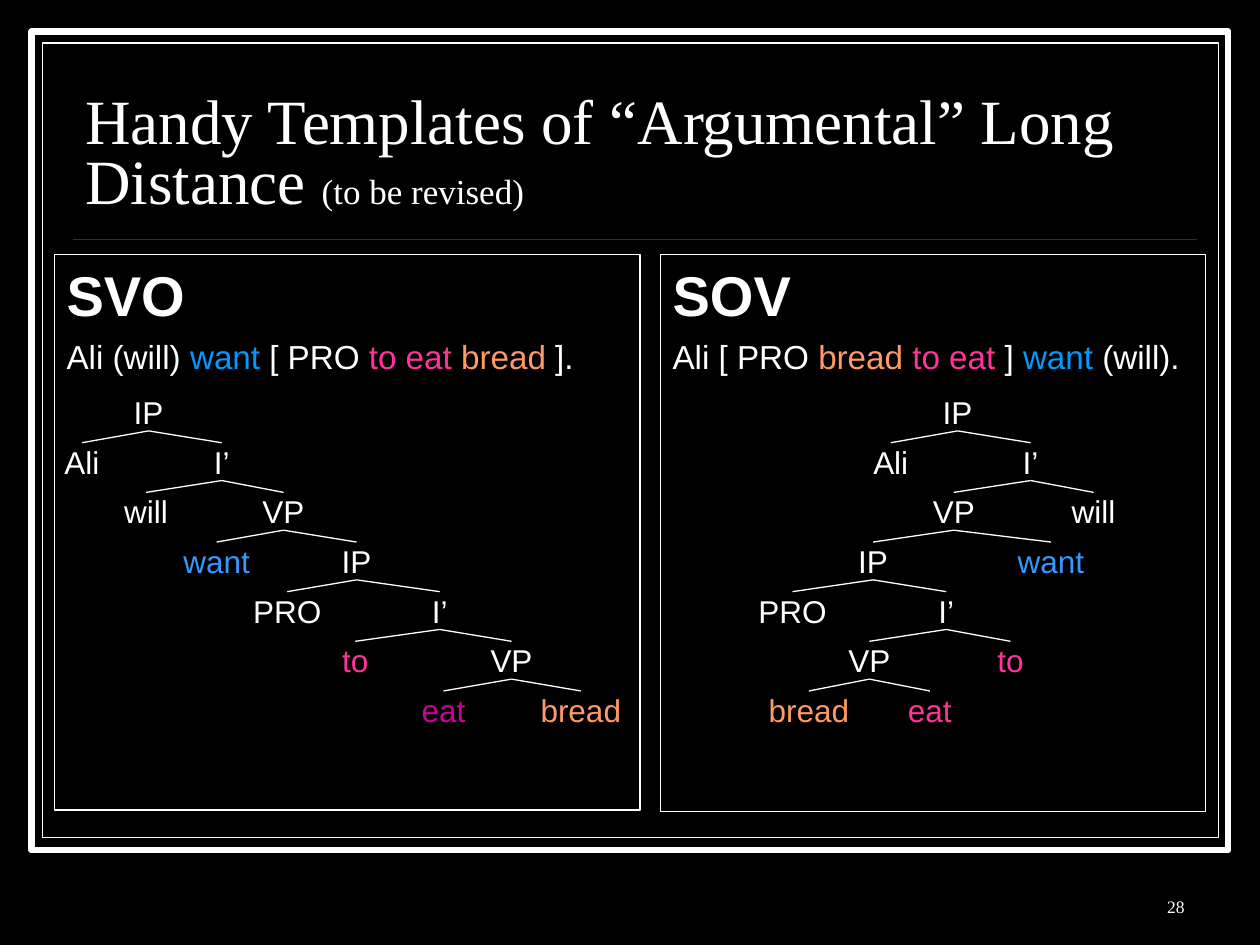
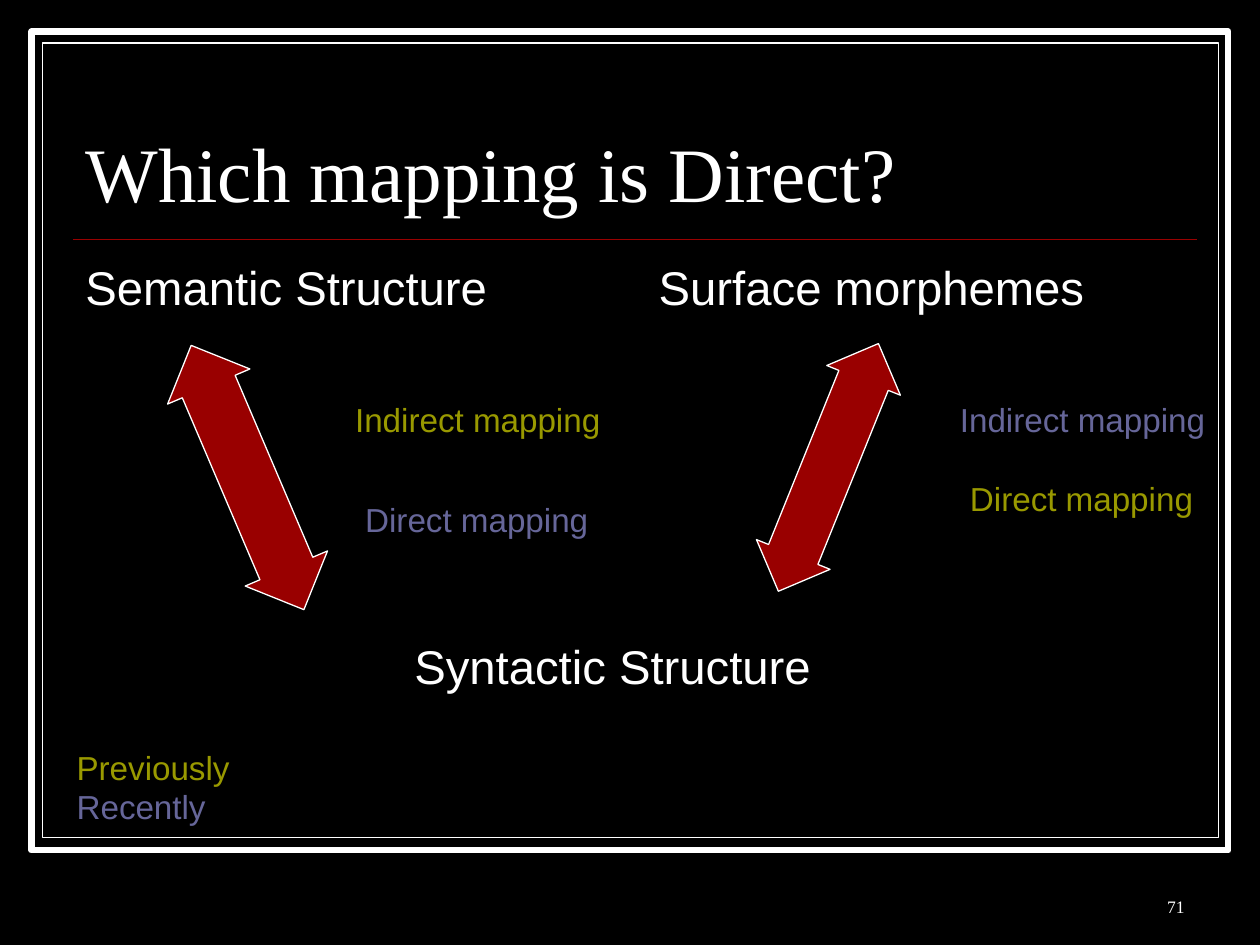
from pptx import Presentation
from pptx import util as u
from pptx.dml.color import RGBColor
from pptx.enum import shapes, text
from pptx.oxml import parse_xml

HUES = {
    "black": "000000", "white": "FFFFFF", "red": "990000",
    "sky": "0099FF", "blue": "3399FF", "pink": "FF3399",
    "plum": "CC0099", "peach": "FF9966",
    "olive": "999900", "slate": "666699",
}
SERIF, SANS = "Times New Roman", "Arial"

FRAMES = [((0.25, 0.25, 9.5, 6.5), 3.5), ((0.34, 0.34, 9.33, 6.31), 0.75)]
RULE = ((0.58, 1.9), (9.5, 1.9))

TREE_TITLE = [("Handy Templates of “Argumental” Long Distance ", "white", 36),
              ("(to be revised)", "white", 20)]
MAP_TITLE = [("Which mapping is Direct?", "white", 44)]

PANELS = [
    ((0.43, 2.02, 4.65, 4.41), "SVO",
     [("Ali (will) ", "white"), ("want", "sky"), (" [ PRO ", "white"),
      ("to eat ", "pink"), ("bread ", "peach"), ("].", "white")]),
    ((5.24, 2.02, 4.33, 4.42), "SOV",
     [("Ali [ PRO ", "white"), ("bread ", "peach"), ("to eat ", "pink"),
      ("] ", "white"), ("want ", "sky"), ("(will).", "white")]),
]

# word, centre, colour, branches
TREES = [
    ("IP", 1.18, "white", [
        ("Ali", 0.65, "white", []),
        ("I’", 1.76, "white", [
            ("will", 1.16, "white", []),
            ("VP", 2.25, "white", [
                ("want", 1.72, "blue", []),
                ("IP", 2.83, "white", [
                    ("PRO", 2.28, "white", []),
                    ("I’", 3.49, "white", [
                        ("to", 2.82, "pink", []),
                        ("VP", 4.06, "white", [
                            ("eat", 3.52, "plum", []),
                            ("bread", 4.61, "peach", [])])])])])])]),
    ("IP", 7.6, "white", [
        ("Ali", 7.07, "white", []),
        ("I’", 8.18, "white", [
            ("VP", 7.57, "white", [
                ("IP", 6.93, "white", [
                    ("PRO", 6.29, "white", []),
                    ("I’", 7.51, "white", [
                        ("VP", 6.9, "white", [
                            ("bread", 6.42, "peach", []),
                            ("eat", 7.38, "pink", [])]),
                        ("to", 8.02, "pink", [])])]),
                ("want", 8.34, "blue", [])]),
            ("will", 8.68, "white", [])])]),
]
TREE_TOP, STEP, WORD_W, WORD_H = 3.12, 0.394, 0.7, 0.3

HEADS = [
    ("Semantic Structure", (0.58, 2, 4.37, 1.44)),
    ("Surface morphemes", (5.13, 2, 4.37, 1.44)),
    ("Syntactic Structure", (3.19, 5.01, 4.37, 1.44)),
]
NOTES = [
    ("Indirect mapping", "olive", 2.72, 3.12),
    ("Direct mapping", "slate", 2.8, 3.91),
    ("Indirect mapping", "slate", 7.52, 3.12),
    ("Direct mapping", "olive", 7.6, 3.75),
    ("Previously", "olive", 0.51, 5.88),
    ("Recently", "slate", 0.51, 6.19),
]
ARROWS = [((1.61, 2.65, 0.71, 2.28), 336.9, 0.642),
          ((6.26, 2.65, 0.63, 2.12), 22, 0.671)]


def hue(name):
    return RGBColor.from_string(HUES[name])


def place(box):
    return [u.Inches(n) for n in box]


def add_box(slide, box, fill=None, width=0.75, kind=shapes.MSO_SHAPE.RECTANGLE):
    shape = slide.shapes.add_shape(kind, *place(box))
    shape.shadow.inherit = False
    if fill:
        shape.fill.solid()
        shape.fill.fore_color.rgb = hue(fill)
    else:
        shape.fill.background()
    shape.line.color.rgb = hue("white")
    shape.line.width = u.Pt(width)
    return shape


def add_line(slide, start, end, tint="white", width=0.75):
    line = slide.shapes.add_connector(
        shapes.MSO_CONNECTOR.STRAIGHT, *place(start + end))
    line.line.color.rgb = hue(tint)
    line.line.width = u.Pt(width)
    line._element.spPr.append(parse_xml(
        '<a:effectLst xmlns:a="http://schemas.openxmlformats.org/drawingml/2006/main"/>'))


def style(par, size, face=SANS, bold=False, before=0, align=text.PP_ALIGN.LEFT):
    par.font.size = u.Pt(size)
    par.font.name = face
    par.font.bold = bold
    par.space_before = u.Pt(before)
    par.alignment = align


def add_run(par, words, tint, size=None):
    run = par.add_run()
    run.text = words
    run.font.color.rgb = hue(tint)
    if size:
        run.font.size = u.Pt(size)


def add_text(slide, box, runs, size, anchor=text.MSO_ANCHOR.TOP, **looks):
    frame = slide.shapes.add_textbox(*place(box)).text_frame
    frame.word_wrap = True
    frame.vertical_anchor = anchor
    par = frame.paragraphs[0]
    style(par, size, **looks)
    for run in runs:
        add_run(par, *run)
    return frame


def add_slide(deck, title, number):
    slide = deck.slides.add_slide(deck.slide_layouts[6])
    slide.background.fill.solid()
    slide.background.fill.fore_color.rgb = hue("black")
    for box, width in FRAMES:
        add_box(slide, box, "black", width)
    add_line(slide, *RULE, "red", 1)
    low = text.MSO_ANCHOR.BOTTOM
    frame = add_text(slide, (0.58, 0.52, 8.92, 1.25), title, title[0][2], low,
                     face=SERIF)
    frame.paragraphs[0].line_spacing = 0.8
    add_text(slide, (7.42, 6.83, 2.08, 0.5), [(number, "white")], 10, low,
             face=SERIF, align=text.PP_ALIGN.RIGHT)
    return slide


def add_panel(slide, box, head, runs):
    frame = add_box(slide, box).text_frame
    frame.word_wrap = True
    frame.vertical_anchor = text.MSO_ANCHOR.TOP
    par = frame.paragraphs[0]
    style(par, 32, bold=True, before=8)
    add_run(par, head, "white")
    par = frame.add_paragraph()
    style(par, 19, before=4.8)
    for run in runs:
        add_run(par, *run)


def add_tree(slide, node, depth=0):
    word, mid, tint, kids = node
    top = TREE_TOP + depth * STEP
    frame = add_text(slide, (mid - WORD_W / 2, top, WORD_W, WORD_H),
                     [(word, tint)], 18, text.MSO_ANCHOR.MIDDLE,
                     align=text.PP_ALIGN.CENTER)
    frame.word_wrap = False
    frame.margin_left = frame.margin_right = 0
    frame.margin_top = frame.margin_bottom = 0
    for kid in kids:
        add_line(slide, (mid, top + WORD_H), (kid[1], top + STEP))
        add_tree(slide, kid, depth + 1)


def main():
    deck = Presentation()
    deck.slide_width, deck.slide_height = u.Inches(10), u.Inches(7.5)

    slide = add_slide(deck, TREE_TITLE, "28")
    for panel in PANELS:
        add_panel(slide, *panel)
    for tree in TREES:
        add_tree(slide, tree)

    slide = add_slide(deck, MAP_TITLE, "71")
    for words, box in HEADS:
        add_text(slide, box, [(words, "white")], 27, before=6.8)
    for box, turn, head in ARROWS:
        arrow = add_box(slide, box, "red", kind=shapes.MSO_SHAPE.UP_DOWN_ARROW)
        arrow.rotation = turn
        arrow.adjustments[0] = 0.5
        arrow.adjustments[1] = head
    for words, tint, left, top in NOTES:
        add_text(slide, (left, top, 2.4, 0.55), [(words, tint)], 19, before=4.8)

    deck.save("out.pptx")


if __name__ == "__main__":
    main()
